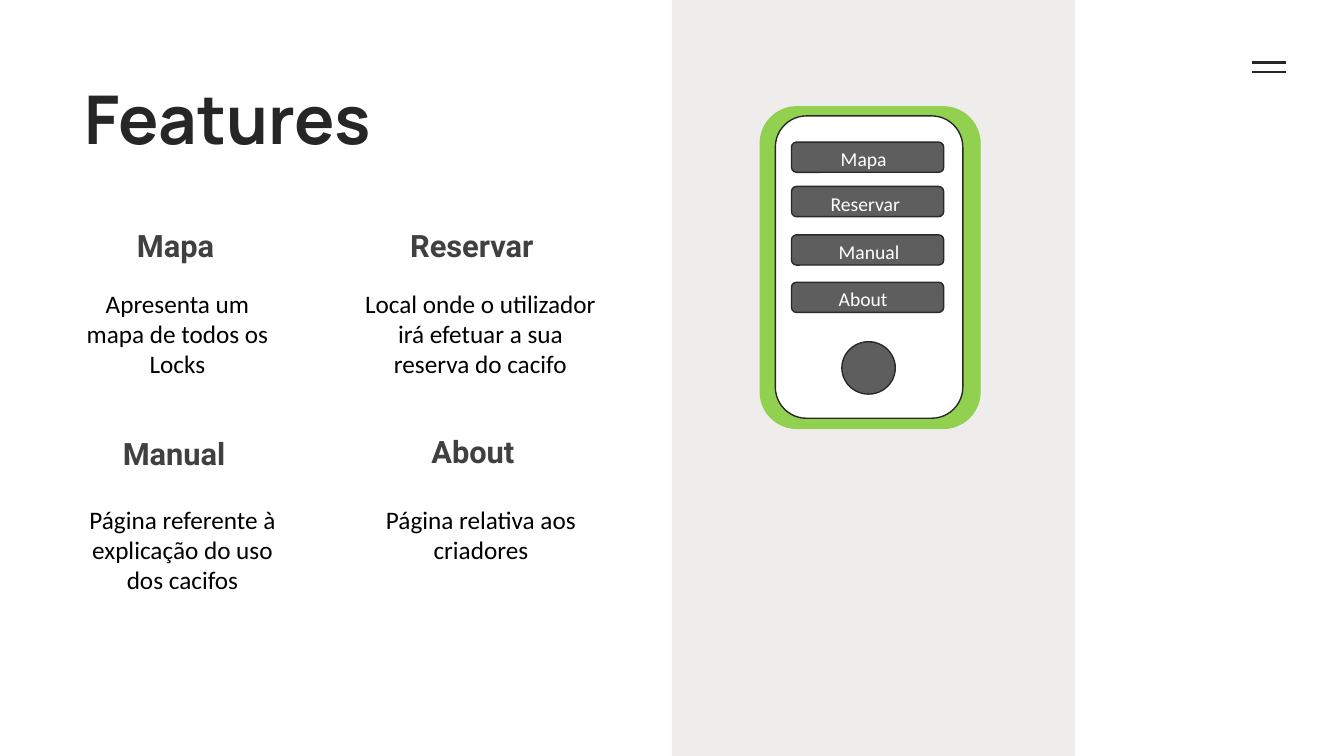
from dataclasses import dataclass

from lxml import etree
from pptx import Presentation
from pptx.dml.color import RGBColor
from pptx.enum.shapes import MSO_CONNECTOR, MSO_SHAPE
from pptx.enum.text import MSO_ANCHOR, PP_ALIGN
from pptx.oxml.ns import qn
from pptx.util import Inches, Pt

LEFT, CENTER = PP_ALIGN.LEFT, PP_ALIGN.CENTER
TOP, BOTTOM = MSO_ANCHOR.TOP, MSO_ANCHOR.BOTTOM
RECTANGLE, ROUNDED, OVAL = MSO_SHAPE.RECTANGLE, MSO_SHAPE.ROUNDED_RECTANGLE, MSO_SHAPE.OVAL
STRAIGHT = MSO_CONNECTOR.STRAIGHT
SLIDE_WIDTH, SLIDE_HEIGHT = 13.33, 7.5


@dataclass(frozen=True)
class TextStyle:
    font: str
    size: int
    color: str
    bold: bool = False
    spacing: float = 1.0


@dataclass(frozen=True)
class Theme:
    band: str = "EFEDEC"
    case: str = "92D050"
    screen: str = "FFFFFF"
    button: str = "5E5E5E"
    outline: str = "292929"
    menu: str = "262626"
    title: TextStyle = TextStyle("Manrope", 48, "262626", True, 0.9)
    heading: TextStyle = TextStyle("Roboto", 22, "404040", True, 0.9)
    body: TextStyle = TextStyle("Calibri", 18, "000000")
    label: TextStyle = TextStyle("Calibri", 14, "FFFFFF")


THEME = Theme()

# Heading and description: text, left and top within the features box, width, height
FEATURES = [
    (("Mapa", 0.52, 0, 1.01, 0.48, BOTTOM),
     ("Apresenta um mapa de todos os Locks", 0, 0.62, 2.04, 1.01)),
    (("Reservar", 3.23, 0.05, 1.6, 0.43, BOTTOM),
     ("Local onde o utilizador irá efetuar a sua reserva do cacifo", 2.72, 0.62, 2.61, 1.01)),
    (("Manual", 0.38, 2.11, 1.27, 0.43, BOTTOM),
     ("Página referente à explicação do uso dos cacifos", 0, 2.76, 2.14, 1.01)),
    (("About", 3.44, 2.1, 1.19, 0.44, TOP),
     ("Página relativa aos criadores", 2.96, 2.76, 2.14, 0.71)),
]

# Button: label, top within the phone, indent and width of the label
BUTTONS = [
    ("Mapa", 0.35, 0.39, 0.92),
    ("Reservar", 0.79, 0.29, 3),
    ("Manual", 1.27, 0.37, 3),
    ("About", 1.74, 0.37, 3),
]


def add_panel(slide, kind, left, top, width, height, fill, outline=None):
    shape = slide.shapes.add_shape(
        kind, Inches(left), Inches(top), Inches(width), Inches(height))
    shape.shadow.inherit = False
    shape.fill.solid()
    shape.fill.fore_color.rgb = RGBColor.from_string(fill)
    if outline:
        shape.line.color.rgb = RGBColor.from_string(outline)
        shape.line.width = Pt(1)
    else:
        shape.line.fill.background()


def add_text(slide, text, left, top, width, height, style, align=LEFT, anchor=TOP):
    box = slide.shapes.add_textbox(Inches(left), Inches(top), Inches(width), Inches(height))
    frame = box.text_frame
    frame.word_wrap = True
    frame.vertical_anchor = anchor
    frame.text = text
    paragraph = frame.paragraphs[0]
    paragraph.alignment = align
    paragraph.line_spacing = style.spacing
    font = paragraph.runs[0].font
    font.name, font.size, font.bold = style.font, Pt(style.size), style.bold
    font.color.rgb = RGBColor.from_string(style.color)


def draw_menu_icon(slide, left, top, width, gap):
    for row in range(2):
        height = Inches(top + row * gap)
        line = slide.shapes.add_connector(
            STRAIGHT, Inches(left), height, Inches(left + width), height)
        line.line.color.rgb = RGBColor.from_string(THEME.menu)
        line.line.width = Pt(1.5)
        etree.SubElement(line._element.spPr, qn("a:effectLst"))


def draw_features(slide, left, top):
    for heading, description in FEATURES:
        text, x, y, width, height, anchor = heading
        add_text(slide, text, left + x, top + y, width, height, THEME.heading, anchor=anchor)
        text, x, y, width, height = description
        add_text(slide, text, left + x, top + y, width, height, THEME.body, CENTER)


def draw_phone(slide, left, top, width, height):
    # Case and screen
    add_panel(slide, ROUNDED, left, top, width, height, THEME.case, THEME.case)
    add_panel(slide, ROUNDED, left + 0.15, top + 0.09, width - 0.32, height - 0.19,
              THEME.screen, THEME.outline)
    # Menu buttons
    button_left = left + 0.31
    for label, y, indent, label_width in BUTTONS:
        add_panel(slide, ROUNDED, button_left, top + y, 1.51, 0.3,
                  THEME.button, THEME.outline)
        add_text(slide, label, button_left + indent, top + y, label_width, 0.34, THEME.label)
    # Home button
    add_panel(slide, OVAL, left + 0.81, top + 2.33, 0.53, 0.52, THEME.button, THEME.outline)


def build_features_slide(presentation):
    slide = presentation.slides.add_slide(presentation.slide_layouts[6])
    add_panel(slide, RECTANGLE, SLIDE_WIDTH / 2, 0, SLIDE_WIDTH * 0.3, SLIDE_HEIGHT, THEME.band)
    draw_menu_icon(slide, 12.42, 0.62, 0.33, 0.09)
    add_text(slide, "Features", 0.74, 0.81, 4.35, 0.92, THEME.title)
    draw_features(slide, 0.74, 2.19)
    draw_phone(slide, 7.54, 1.06, 2.18, 3.19)


def main():
    presentation = Presentation()
    presentation.slide_width = Inches(SLIDE_WIDTH)
    presentation.slide_height = Inches(SLIDE_HEIGHT)
    build_features_slide(presentation)
    presentation.save("out.pptx")


if __name__ == "__main__":
    main()
